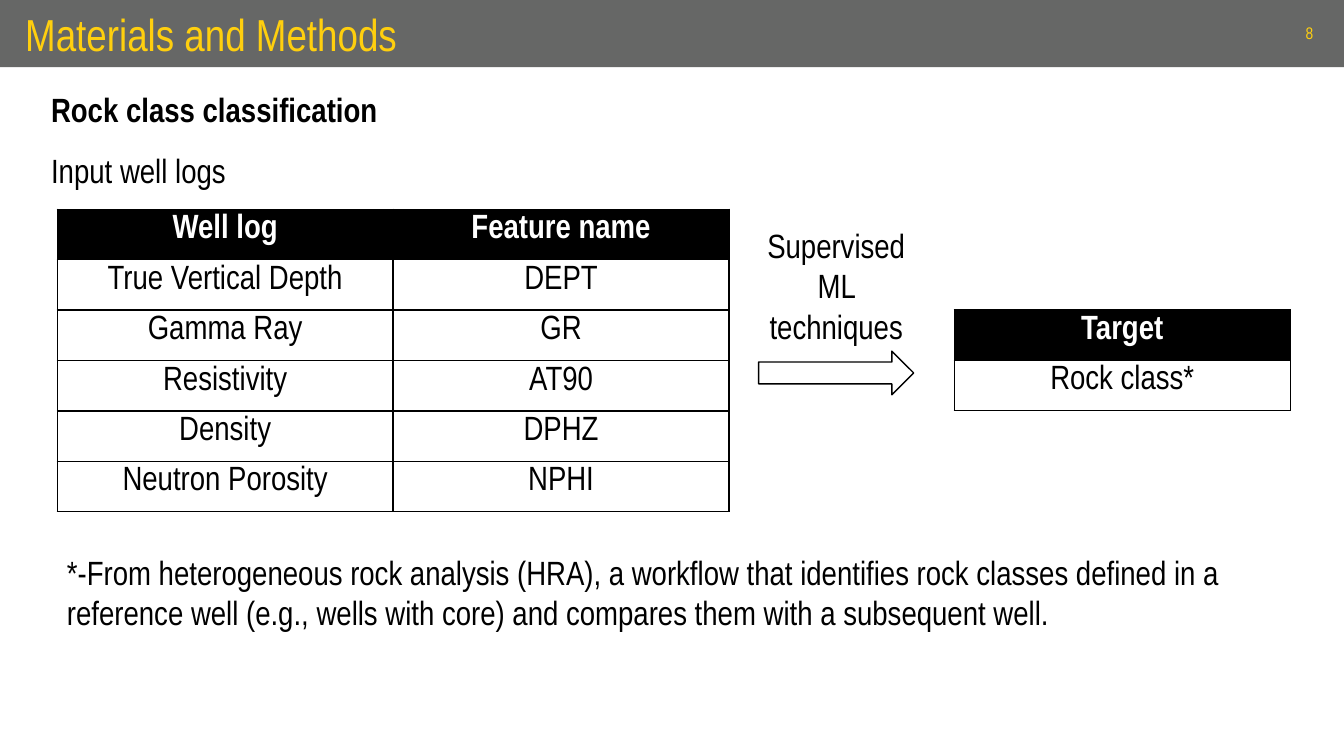
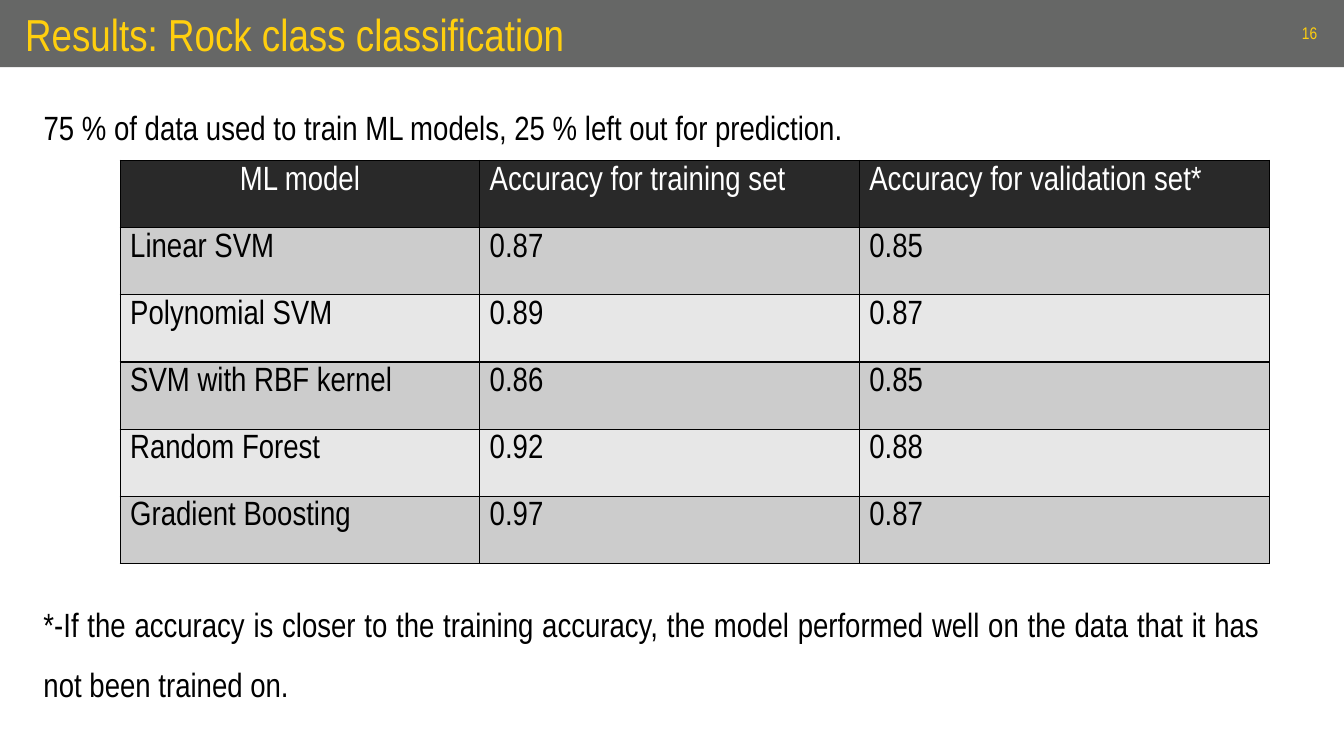
from lxml.etree import SubElement
from pptx import Presentation
from pptx.dml.color import RGBColor
from pptx.enum.shapes import MSO_SHAPE
from pptx.enum.text import MSO_ANCHOR, MSO_AUTO_SIZE, PP_ALIGN
from pptx.oxml.ns import qn
from pptx.util import Inches, Pt

UNIT = Inches(1 / 12)
COLS, ROWS = 160, 90
BAND = (0, 0, COLS, 8)
FONT = "Arial Narrow"

BLACK = RGBColor(0x00, 0x00, 0x00)
WHITE = RGBColor(0xFF, 0xFF, 0xFF)
GREY = RGBColor(0x66, 0x67, 0x66)
YELLOW = RGBColor(0xFF, 0xCF, 0x0E)
CHARCOAL = RGBColor(0x29, 0x29, 0x29)
SILVER = RGBColor(0xCC, 0xCC, 0xCC)
PALE = RGBColor(0xE7, 0xE7, 0xE7)

WELL_LOGS = [
    ("Well log", "Feature name"),
    ("True Vertical Depth", "DEPT"),
    ("Gamma Ray", "GR"),
    ("Resistivity", "AT90"),
    ("Density", "DPHZ"),
    ("Neutron Porosity", "NPHI"),
]
TARGET = [("Target",), ("Rock class*",)]
ACCURACY = [
    ("ML model", "Accuracy for training set", "Accuracy for validation set*"),
    ("Linear SVM", "0.87", "0.85"),
    ("Polynomial SVM", "0.89", "0.87"),
    ("SVM with RBF kernel", "0.86", "0.85"),
    ("Random Forest", "0.92", "0.88"),
    ("Gradient Boosting", "0.97", "0.87"),
]


def grid(*cells):
    """Turn grid columns and rows into lengths."""
    return [round(c * UNIT) for c in cells]


def style(p, size=24, color=BLACK, bold=False, align=PP_ALIGN.LEFT, spacing=None):
    """Format a whole paragraph."""
    p.alignment = align
    if spacing:
        p.line_spacing = spacing
    p.font.name, p.font.size, p.font.bold = FONT, Pt(size), bold
    p.font.color.rgb = color


def add_text(slide, box, text, anchor=MSO_ANCHOR.TOP, **fmt):
    """Add a wrapped one-paragraph text box."""
    tf = slide.shapes.add_textbox(*grid(*box)).text_frame
    tf.word_wrap = True
    tf.vertical_anchor = anchor
    tf.text = text
    style(tf.paragraphs[0], **fmt)


def set_borders(cell):
    """Give a cell a thin black line on all four sides."""
    tcPr = cell._tc.get_or_add_tcPr()
    for i, side in enumerate(("a:lnL", "a:lnR", "a:lnT", "a:lnB")):
        ln = tcPr.makeelement(qn(side), {"w": str(Pt(1))})
        fill = SubElement(ln, qn("a:solidFill"))
        SubElement(fill, qn("a:srgbClr"), val=str(BLACK))
        tcPr.insert(i, ln)


def add_table(slide, x, y, widths, row_height, rows, head, bands, bold, align):
    """Add a bordered table with a head row and repeating row fills."""
    box = (x, y, sum(widths), row_height * len(rows))
    tbl = slide.shapes.add_table(len(rows), len(widths), *grid(*box)).table
    tbl.horz_banding = False
    for col, width in zip(tbl.columns, grid(*widths)):
        col.width = width
    for i, row in enumerate(rows):
        is_head = i == 0
        for j, text in enumerate(row):
            cell = tbl.cell(i, j)
            cell.fill.solid()
            cell.fill.fore_color.rgb = head if is_head else bands[(i - 1) % len(bands)]
            set_borders(cell)
            cell.text = text
            style(cell.text_frame.paragraphs[0],
                  color=WHITE if is_head else BLACK, bold=is_head and bold,
                  align=PP_ALIGN.CENTER if is_head and j == 0 else align)


def add_flow(slide, x, y, w, h, text):
    """Add an arrow with its caption above it."""
    add_text(slide, (x, y, w, h * 0.75), text, align=PP_ALIGN.CENTER)
    inset = w / 16
    box = grid(x + inset, y + h * 0.75, w - 2 * inset, h * 0.25)
    sp = slide.shapes.add_shape(MSO_SHAPE.RIGHT_ARROW, *box)
    sp.shadow.inherit = False
    sp.fill.background()
    sp.line.color.rgb = BLACK
    sp.line.width = Pt(1)


def prepare_layout(prs):
    """Turn the layout's title into the shared grey band."""
    layout = prs.slide_layouts.get_by_name("Title Only")
    title = layout.placeholders[0]
    title.left, title.top, title.width, title.height = grid(*BAND)
    title.fill.solid()
    title.fill.fore_color.rgb = GREY
    return layout


def add_slide(prs, layout, text, number):
    """Add a slide with its title and number in the band."""
    slide = prs.slides.add_slide(layout)
    tf = slide.shapes.title.text_frame
    tf.text = text
    tf.auto_size = MSO_AUTO_SIZE.NONE
    tf.vertical_anchor = MSO_ANCHOR.MIDDLE
    tf.margin_left = Inches(0.25)
    style(tf.paragraphs[0], size=32, color=YELLOW)
    add_text(slide, (153.4, 1.5, 5, 4.8), number, anchor=MSO_ANCHOR.MIDDLE,
             size=12, color=YELLOW, align=PP_ALIGN.CENTER)
    return slide


def fill_methods(slide, x, y, w):
    """Show the well logs, the technique and the target."""
    add_text(slide, (x, y - 0.4, 108, 8.5), "Rock class classification",
             bold=True, align=PP_ALIGN.JUSTIFY, spacing=1.5)
    add_text(slide, (x, y + 6.9, 28, 7.6), "Input well logs", spacing=1.5)
    look = dict(head=BLACK, bands=[WHITE], bold=True, align=PP_ALIGN.CENTER)
    left, top, col, row = x + 1.9, y + 16.9, 40, 6
    add_table(slide, left, top, [col] * 2, row, WELL_LOGS, **look)
    add_table(slide, x + w - col, top + 2 * row, [col], row, TARGET, **look)
    add_flow(slide, x + 84.1, top + 1.3, 21.1, 20.8, "Supervised ML techniques")
    add_text(slide, (left, y + 57.1, 142.3, 11),
             "*-From heterogeneous rock analysis (HRA), a workflow that identifies "
             "rock classes defined in a reference well (e.g., wells with core) and "
             "compares them with a subsequent well.")


def fill_results(slide, x, y, w):
    """Show the accuracy table between its lead and its note."""
    para = dict(align=PP_ALIGN.JUSTIFY, spacing=1.5)
    add_text(slide, (x, y + 1.7, 135.5, 7.6),
             "75 % of data used to train ML models, 25 % left out for prediction.",
             **para)
    widths = [42.8, 45.2, 48.8]
    add_table(slide, x + w - sum(widths), y + 11.1, widths, 8, ACCURACY,
              head=CHARCOAL, bands=[SILVER, PALE], bold=False, align=PP_ALIGN.LEFT)
    add_text(slide, (x, y + 60.9, w, 14.9),
             "*-If the accuracy is closer to the training accuracy, the model "
             "performed well on the data that it has not been trained on.", **para)


def main():
    """Build and save the two slides."""
    prs = Presentation()
    prs.slide_width, prs.slide_height = grid(COLS, ROWS)
    layout = prepare_layout(prs)
    top = BAND[3]
    fill_methods(add_slide(prs, layout, "Materials and Methods", "8"), 4.9, top, 148.7)
    fill_results(add_slide(prs, layout, "Results: Rock class classification", "16"),
                 4, top, 147.1)
    prs.save("out.pptx")


if __name__ == "__main__":
    main()
